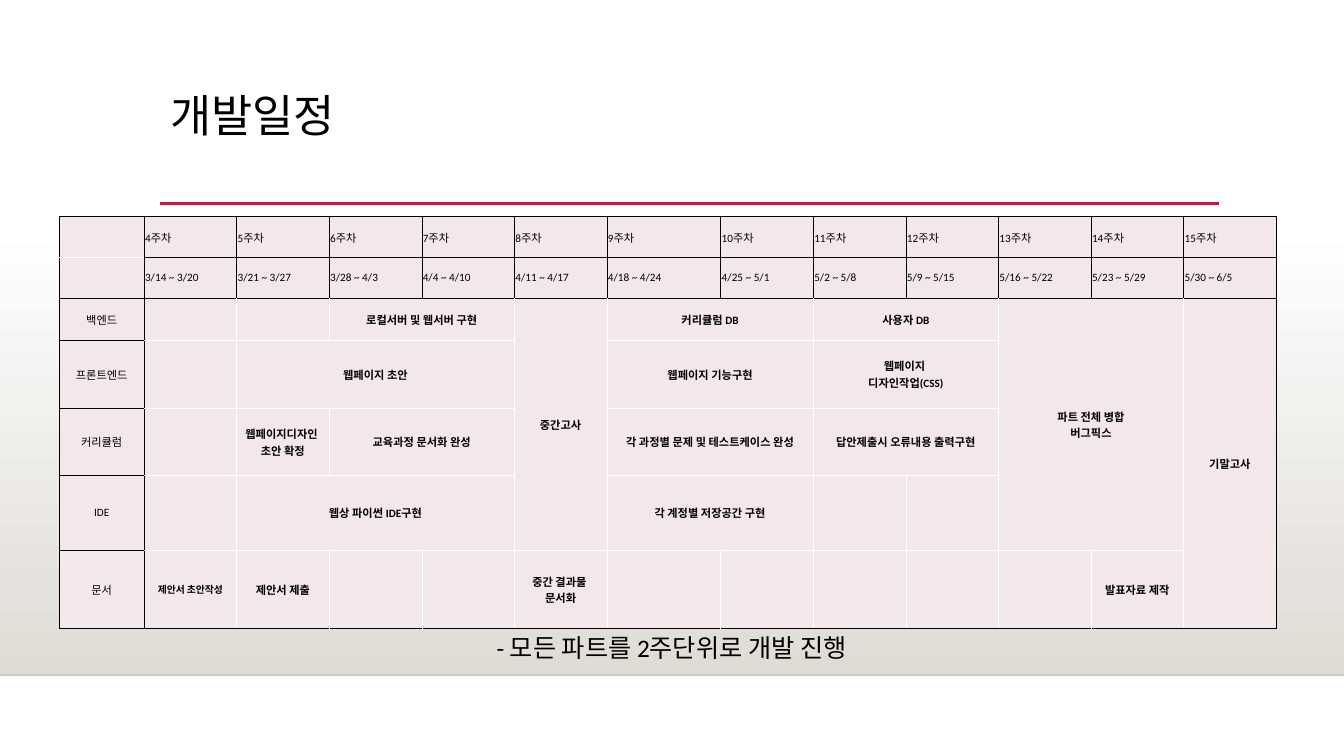
"""Build the weekly development schedule slide."""
import dataclasses
import lxml.etree
import pptx
import pptx.dml.color
import pptx.enum.shapes
import pptx.enum.text
import pptx.oxml.ns
import pptx.util

WIDE, HIGH = 13.34, 7.5
FONT = "Calibri"
HUES = {"ink": "000000", "edge": "000001", "white": "FFFFFF",
        "sand": "DFDBD5", "rose": "F3E7E9", "red": "B71E42"}
COLS = [6.3] + [6.89] * 5 + [8.47] + [6.89] * 6
ROWS = [3.73, 3.73, 5.47, 9.07, 8.87, 9.87, 10.4]
HEADS = 2
DATES = ["3/14 ~ 3/20", "3/21 ~ 3/27", "3/28 ~ 4/3", "4/4 ~ 4/10",
         "4/11 ~ 4/17", "4/18 ~ 4/24", "4/25 ~ 5/1", "5/2 ~ 5/8",
         "5/9 ~ 5/15", "5/16 ~ 5/22", "5/23 ~ 5/29", "5/30 ~ 6/5"]
PARTS = ["백엔드", "프론트엔드", "커리큘럼", "IDE", "문서"]
ALIGN = pptx.enum.text.PP_ALIGN
ANCHOR = pptx.enum.text.MSO_ANCHOR


@dataclasses.dataclass(frozen=True)
class Box:
    """Hold a place in percent of the slide."""
    left: float
    top: float
    width: float
    height: float


@dataclasses.dataclass(frozen=True)
class Task:
    """Hold one entry of the schedule grid."""
    row: int
    col: int
    text: str
    rows: int = 1
    cols: int = 1
    size: int = 8
    bold: bool = True
    align: ALIGN = ALIGN.CENTER


@dataclasses.dataclass(frozen=True)
class Rule:
    """Hold a level line in percent of the slide."""
    left: float
    right: float
    top: float
    hue: str
    weight: float
    alpha: int = 100


TASKS = [
    Task(2, 3, "로컬서버 및 웹서버 구현", cols=2),
    Task(2, 5, "중간고사", rows=4),
    Task(2, 6, "커리큘럼 DB", cols=2),
    Task(2, 8, "사용자 DB", cols=2),
    Task(2, 10, "파트 전체 병합\n버그픽스", rows=4, cols=2),
    Task(2, 12, "기말고사", rows=5),
    Task(3, 2, "웹페이지 초안", cols=3),
    Task(3, 6, "웹페이지 기능구현", cols=2),
    Task(3, 8, "웹페이지 \n디자인작업(CSS)", cols=2),
    Task(4, 2, "웹페이지디자인 \n초안 확정"),
    Task(4, 3, "교육과정 문서화 완성", cols=2),
    Task(4, 6, "각 과정별 문제 및 테스트케이스 완성", cols=2),
    Task(4, 8, "답안제출시 오류내용 출력구현", cols=2),
    Task(5, 2, "웹상 파이썬 IDE구현", cols=3),
    Task(5, 6, "각 계정별 저장공간 구현", cols=2),
    Task(6, 1, "제안서 초안작성", size=7),
    Task(6, 2, "제안서 제출"),
    Task(6, 5, "중간 결과물 \n문서화"),
    Task(6, 11, "발표자료 제작"),
]
RULES = [Rule(0, 100, 89.33, "edge", 1, 20),
         Rule(11.92, 90.7, 26.93, "red", 2.5)]
FLOOR = Box(0, 29.47, 100, 59.87)
TITLE = Box(11.92, 11.73, 78.71, 15.33)
GRID = Box(4.42, 28.67, sum(COLS), sum(ROWS))
NOTE = Box(25.94, 82.93, 48.05, 5.33)


def across(share: float) -> int:
    """Turn a percent of the width into a length."""
    return pptx.util.Inches(WIDE * share / 100)


def down(share: float) -> int:
    """Turn a percent of the height into a length."""
    return pptx.util.Inches(HIGH * share / 100)


def place(box: Box) -> tuple[int, int, int, int]:
    """Give the four lengths of a box."""
    return across(box.left), down(box.top), across(box.width), down(box.height)


def hue(name: str) -> pptx.dml.color.RGBColor:
    """Look up a colour."""
    return pptx.dml.color.RGBColor.from_string(HUES[name])


def child(node: lxml.etree._Element, tag: str, **marks: str) -> lxml.etree._Element:
    """Add a drawing element below a node."""
    return lxml.etree.SubElement(node, pptx.oxml.ns.qn(tag), **marks)


def write(frame, text: str, size: float, align: ALIGN, bold: bool = False):
    """Put one styled paragraph into a frame."""
    para = frame.paragraphs[0]
    para.text = text
    para.alignment = align
    font = para.font
    font.name, font.size, font.bold = FONT, pptx.util.Pt(size), bold
    font.color.rgb = hue("ink")
    return para


def draw_floor(slide) -> None:
    """Draw the shaded lower band."""
    band = slide.shapes.add_shape(
        pptx.enum.shapes.MSO_SHAPE.RECTANGLE, *place(FLOOR))
    band.shadow.inherit = False
    band.line.fill.background()
    band.fill.gradient()
    band.fill.gradient_angle = 270
    for stop, name in zip(band.fill.gradient_stops, ("white", "sand")):
        stop.color.rgb = hue(name)


def draw_rule(slide, rule: Rule) -> None:
    """Draw a level line."""
    link = slide.shapes.add_connector(
        pptx.enum.shapes.MSO_CONNECTOR.STRAIGHT, across(rule.left),
        down(rule.top), across(rule.right), down(rule.top))
    link.line.color.rgb = hue(rule.hue)
    link.line.width = pptx.util.Pt(rule.weight)
    props = link._element.spPr
    if rule.alpha < 100:
        tint = props.find(".//" + pptx.oxml.ns.qn("a:srgbClr"))
        child(tint, "a:alpha", val=str(rule.alpha * 1000))
    child(props, "a:effectLst")


def zone(row: int, col: int) -> str:
    """Name the part of the grid that a cell lies in."""
    if not (0 <= row < len(ROWS) and 0 <= col < len(COLS)):
        return "out"
    if row < HEADS:
        return "head" if col else "corner"
    return "body" if col else "part"


def frame_cell(cell, row: int, col: int) -> None:
    """Draw white edges within the body and corner, black elsewhere."""
    rows = cell.span_height if cell.is_merge_origin else 1
    cols = cell.span_width if cell.is_merge_origin else 1
    sides = {"L": (row, col - 1), "R": (row, col + cols),
             "T": (row - 1, col), "B": (row + rows, col)}
    props = cell._tc.get_or_add_tcPr()
    here = zone(row, col)
    for spot, (side, near) in enumerate(sides.items()):
        inner = here in ("body", "corner") and zone(*near) == here
        edge = child(props, "a:ln" + side, w=str(pptx.util.Pt(0.45)))
        fill = child(edge, "a:solidFill")
        child(fill, "a:srgbClr", val=HUES["white" if inner else "ink"])
        props.insert(spot, edge)


def draw_grid(slide, tasks: list[Task]) -> None:
    """Draw the schedule table."""
    table = slide.shapes.add_table(len(ROWS), len(COLS), *place(GRID)).table
    table.first_row = table.horz_banding = False
    for col, share in zip(table.columns, COLS):
        col.width = across(share)
    for row, share in zip(table.rows, ROWS):
        row.height = down(share)
    for task in tasks:
        cell = table.cell(task.row, task.col)
        if task.rows * task.cols > 1:
            cell.merge(table.cell(task.row + task.rows - 1,
                                  task.col + task.cols - 1))
        cell.vertical_anchor = ANCHOR.MIDDLE
        cell.margin_left = cell.margin_right = pptx.util.Inches(0.01)
        write(cell.text_frame, task.text, task.size, task.align, task.bold)
    for row in range(len(ROWS)):
        for col in range(len(COLS)):
            cell = table.cell(row, col)
            cell.fill.solid()
            cell.fill.fore_color.rgb = hue("rose")
            frame_cell(cell, row, col)


def main() -> None:
    """Build and save the slide."""
    deck = pptx.Presentation()
    deck.slide_width, deck.slide_height = across(100), down(100)
    slide = deck.slides.add_slide(deck.slide_layouts[5])
    draw_floor(slide)
    for rule in RULES:
        draw_rule(slide, rule)

    title = slide.shapes.title
    title.left, title.top, title.width, title.height = place(TITLE)
    title.text_frame.vertical_anchor = ANCHOR.TOP
    write(title.text_frame, "개발일정", 32, ALIGN.LEFT).line_spacing = 0.9

    heads = [Task(0, col, f"{col + 3}주차", bold=False, align=ALIGN.LEFT)
             for col in range(1, len(COLS))]
    dates = [Task(1, col, text, bold=False, align=ALIGN.LEFT)
             for col, text in enumerate(DATES, 1)]
    parts = [Task(row, 0, text, bold=False)
             for row, text in enumerate(PARTS, HEADS)]
    draw_grid(slide, heads + dates + parts + TASKS)

    note = slide.shapes.add_textbox(*place(NOTE)).text_frame
    note.word_wrap = True
    note.auto_size = pptx.enum.text.MSO_AUTO_SIZE.SHAPE_TO_FIT_TEXT
    write(note, "- 모든 파트를 2주단위로 개발 진행", 18, ALIGN.CENTER)
    deck.save("out.pptx")


if __name__ == "__main__":
    main()
